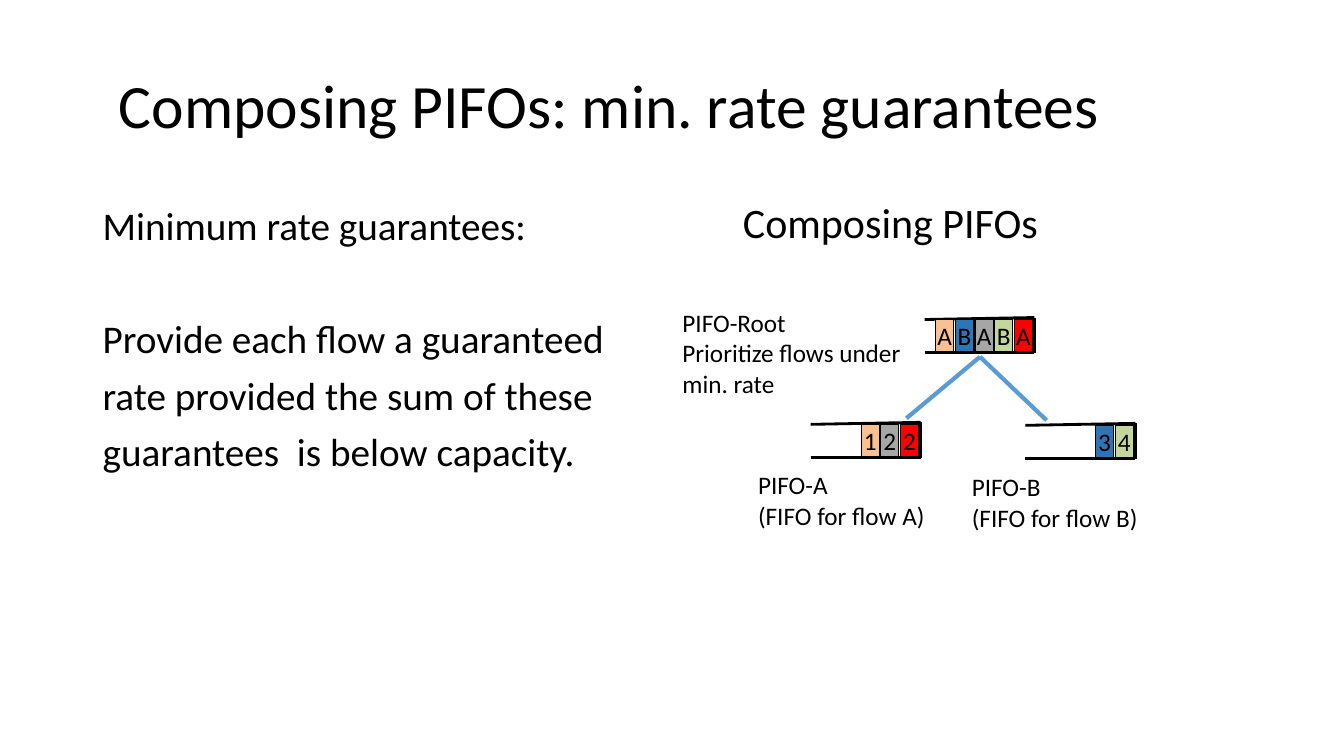
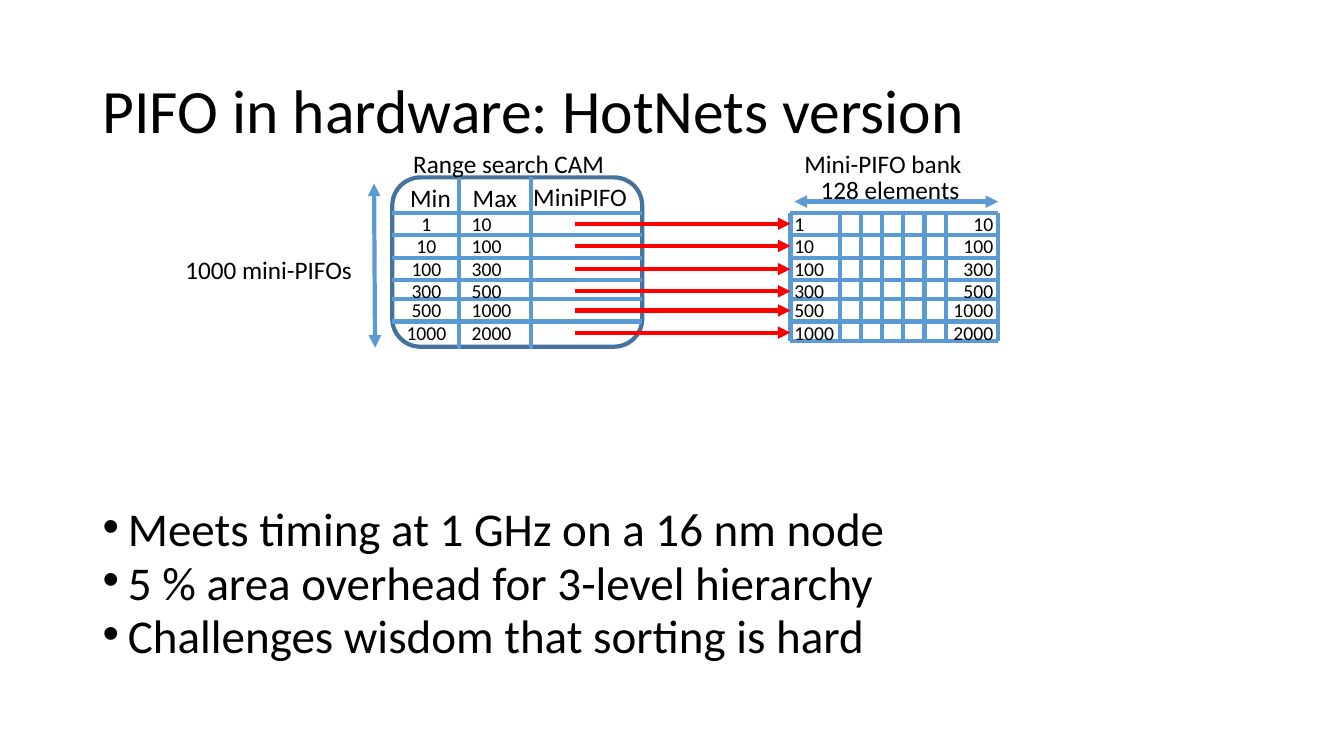
from dataclasses import dataclass

from lxml.etree import SubElement
from pptx import Presentation
from pptx.dml.color import RGBColor
from pptx.enum.shapes import MSO_CONNECTOR as Connector, MSO_SHAPE as Shape
from pptx.enum.text import MSO_ANCHOR as Anchor, PP_ALIGN as Align
from pptx.oxml.ns import qn
from pptx.util import Inches, Pt


@dataclass(frozen=True)
class Theme:
    font: str = "Calibri"
    black: str = "000000"
    white: str = "FFFFFF"
    red: str = "FF0000"
    orange: str = "FAC090"
    blue: str = "2E75B6"
    gray: str = "A6A6A6"
    green: str = "C3D69B"
    line_blue: str = "5B9BD5"
    frame_blue: str = "43739E"
    title: float = 44
    bullet: float = 33.6
    heading: float = 30
    body: float = 28
    label: float = 18
    number: float = 14
    rail: float = 2
    rule: float = 3
    hairline: float = 0.75


THEME = Theme()

# Composing slide: (text, space before)
GUARANTEE_TEXT = [
    ("Minimum rate guarantees:", 0),
    ("Provide each flow a guaranteed", 50.75),
    ("rate provided the sum of these", 10),
    ("guarantees  is below capacity.", 10),
]
# right edge, top, cells from tail to head
QUEUES = [
    (10.26, 3.15, [("A", THEME.orange), ("B", THEME.blue), ("A", THEME.gray),
                   ("B", THEME.green), ("A", THEME.red)]),
    (9.13, 4.19, [("1", THEME.orange), ("2", THEME.gray), ("2", THEME.red)]),
    (11.26, 4.2, [("3", THEME.blue), ("4", THEME.green)]),
]
QUEUE_LABELS = [
    (6.67, 3, 2.55, ["PIFO-Root", "Prioritize flows under", "min. rate"]),
    (7.42, 4.61, 2.01, ["PIFO-A", "(FIFO for flow A)"]),
    (9.54, 4.63, 1.99, ["PIFO-B", "(FIFO for flow B)"]),
]
TREE_ROOT = (9.72, 3.54)
TREE_LEAVES = [(8.99, 4.15), (10.38, 4.17)]
RAIL_LENGTH, RAIL_GAP, RAIL_SLANT = 1.09, 0.35, 0.02
CELL_WIDTH, CELL_HEIGHT, CELL_PITCH = 0.18, 0.32, 0.195

# Hardware slide
RANGES = [(1, 10), (10, 100), (100, 300), (300, 500), (500, 1000), (1000, 2000)]
ROW_EDGES = [2.11, 2.33, 2.56, 2.78, 2.97, 3.19, 3.38]
CAM_LEFT, CAM_RIGHT, CAM_TOP, CAM_BOTTOM = 3.89, 6.37, 1.76, 3.44
CAM_DIVIDERS = [4.55, 5.27]
BANK_LEFT, BANK_RIGHT = 7.84, 9.9
BANK_DIVIDERS = [8.33 + 0.21 * i for i in range(6)]
# left, width, alignment, index into a range
NUMBER_COLUMNS = [
    (3.83, 0.8, Align.CENTER, 0),
    (4.58, 0.64, Align.LEFT, 1),
    (7.78, 0.64, Align.LEFT, 0),
    (9.31, 0.64, Align.RIGHT, 1),
]
HARDWARE_LABELS = [
    ("Range search CAM", 4, 1.42, 3.67),
    ("Min", 3.97, 1.76, 0.68),
    ("Max", 4.59, 1.76, 0.68),
    ("MiniPIFO", 5.19, 1.75, 1.22),
    ("Mini-PIFO bank", 7.88, 1.42, 2.48),
    ("128 elements", 8.04, 1.68, 1.69),
    ("1000 mini-PIFOs", 1.74, 2.47, 2.03),
]
FINDINGS = [
    ("Meets timing at 1 GHz on a 16 nm node", 0),
    ("5 % area overhead for 3-level hierarchy", 10),
    ("Challenges wisdom that sorting is hard", 10),
]


def color(value):
    return RGBColor.from_string(value)


def style(paragraph, size):
    font = paragraph.font
    font.name, font.size = THEME.font, Pt(size)
    font.color.rgb = color(THEME.black)


def add_bullet(paragraph):
    properties = paragraph._p.get_or_add_pPr()
    properties.set("marL", str(Inches(0.25)))
    properties.set("indent", str(-Inches(0.25)))
    SubElement(properties, qn("a:buFont")).set("typeface", "Arial")
    SubElement(properties, qn("a:buChar")).set("char", "•")


def add_text(slide, box, lines, size, align=Align.LEFT, anchor=Anchor.TOP,
             spacing=None, bullets=False):
    """Add a text box; each line is a string or (string, points before)."""
    frame = slide.shapes.add_textbox(*map(Inches, box)).text_frame
    frame.word_wrap, frame.vertical_anchor = True, anchor
    for index, line in enumerate(lines):
        text, before = line if isinstance(line, tuple) else (line, 0)
        paragraph = frame.paragraphs[0] if index == 0 else frame.add_paragraph()
        paragraph.text, paragraph.alignment = text, align
        if spacing:
            paragraph.line_spacing = spacing
        paragraph.space_before = Pt(before)
        if bullets:
            add_bullet(paragraph)
        style(paragraph, size)


def add_title(slide, text, left, top, width):
    add_text(slide, (left, top, width, 1.45), [text], THEME.title,
             anchor=Anchor.MIDDLE, spacing=0.9)


def add_line(slide, start, end, line_color=THEME.line_blue, width=THEME.rule,
             arrows=()):
    """Draw a straight line; arrows may hold "headEnd" and "tailEnd"."""
    line = slide.shapes.add_connector(Connector.STRAIGHT,
                                      *map(Inches, (*start, *end)))
    line.line.color.rgb, line.line.width = color(line_color), Pt(width)
    outline = line.line._get_or_add_ln()
    for end_name in arrows:
        SubElement(outline, qn(f"a:{end_name}")).set("type", "triangle")
    SubElement(line._element.spPr, qn("a:effectLst"))


def add_box(slide, kind, box, fill, line_color, width):
    shape = slide.shapes.add_shape(kind, *map(Inches, box))
    shape.shadow.inherit = False
    shape.fill.solid()
    shape.fill.fore_color.rgb = color(fill)
    shape.line.color.rgb, shape.line.width = color(line_color), Pt(width)
    return shape


def add_queue(slide, right, top, cells):
    left, bottom = right - RAIL_LENGTH, top + RAIL_GAP
    for start, end in [((left, top + RAIL_SLANT), (right, top)),
                       ((left, bottom), (right, bottom)),
                       ((right, bottom), (right, top))]:
        add_line(slide, start, end, THEME.black, THEME.rail)
    first = right - 0.2 - CELL_PITCH * (len(cells) - 1)
    for index, (text, fill) in enumerate(cells):
        box = (first + CELL_PITCH * index, top + 0.02, CELL_WIDTH, CELL_HEIGHT)
        cell = add_box(slide, Shape.RECTANGLE, box, fill, THEME.black, THEME.hairline)
        frame = cell.text_frame
        frame.margin_left = frame.margin_right = 0
        frame.margin_top = frame.margin_bottom = 0
        frame.word_wrap, frame.vertical_anchor = False, Anchor.MIDDLE
        paragraph = frame.paragraphs[0]
        paragraph.text, paragraph.alignment = text, Align.CENTER
        style(paragraph, THEME.label)


def build_composing_slide(slide):
    add_title(slide, "Composing PIFOs: min. rate guarantees", 1.08, 0.35, 11.17)
    add_text(slide, (0.92, 2, 5.6, 3), GUARANTEE_TEXT, THEME.body, spacing=0.9)
    add_text(slide, (7.27, 1.9, 3.5, 0.61), ["Composing PIFOs"], THEME.heading)
    for queue in QUEUES:
        add_queue(slide, *queue)
    for leaf in TREE_LEAVES:
        add_line(slide, TREE_ROOT, leaf)
    for left, top, width, lines in QUEUE_LABELS:
        add_text(slide, (left, top, width, 0.1 + 0.3 * len(lines)), lines, THEME.label)


def build_hardware_slide(slide):
    add_title(slide, "PIFO in hardware: HotNets version", 0.92, 0.4, 11.5)
    add_text(slide, (0.92, 5.06, 11.5, 1.7), FINDINGS, THEME.bullet,
             spacing=0.7, bullets=True)

    cam = (CAM_LEFT, CAM_TOP, CAM_RIGHT - CAM_LEFT, CAM_BOTTOM - CAM_TOP)
    add_box(slide, Shape.ROUNDED_RECTANGLE, cam, THEME.white, THEME.frame_blue, THEME.rule)
    for x in CAM_DIVIDERS:
        add_line(slide, (x, CAM_TOP), (x, CAM_BOTTOM + 0.02))
    for y in ROW_EDGES[:-1]:
        add_line(slide, (CAM_LEFT, y), (CAM_RIGHT, y))

    for y in ROW_EDGES:
        add_line(slide, (BANK_LEFT, y), (BANK_RIGHT, y))
    for x in [BANK_LEFT, *BANK_DIVIDERS, BANK_RIGHT]:
        add_line(slide, (x, ROW_EDGES[0]), (x, ROW_EDGES[-1]))

    for y, limits in zip(ROW_EDGES, RANGES):
        add_line(slide, (5.7, y + 0.11), (BANK_LEFT, y + 0.11), THEME.red,
                 arrows=["tailEnd"])
        for left, width, align, index in NUMBER_COLUMNS:
            add_text(slide, (left, y - 0.06, width, 0.34), [str(limits[index])],
                     THEME.number, align)

    for start, end in [((7.88, 2), (BANK_RIGHT, 2)), ((3.71, 1.82), (3.72, 3.45))]:
        add_line(slide, start, end, arrows=["headEnd", "tailEnd"])
    for text, left, top, width in HARDWARE_LABELS:
        add_text(slide, (left, top, width, 0.4), [text], THEME.label)


def main():
    presentation = Presentation()
    presentation.slide_width, presentation.slide_height = Inches(13.33), Inches(7.5)
    for build in (build_composing_slide, build_hardware_slide):
        build(presentation.slides.add_slide(presentation.slide_layouts[6]))
    presentation.save("out.pptx")


if __name__ == "__main__":
    main()
